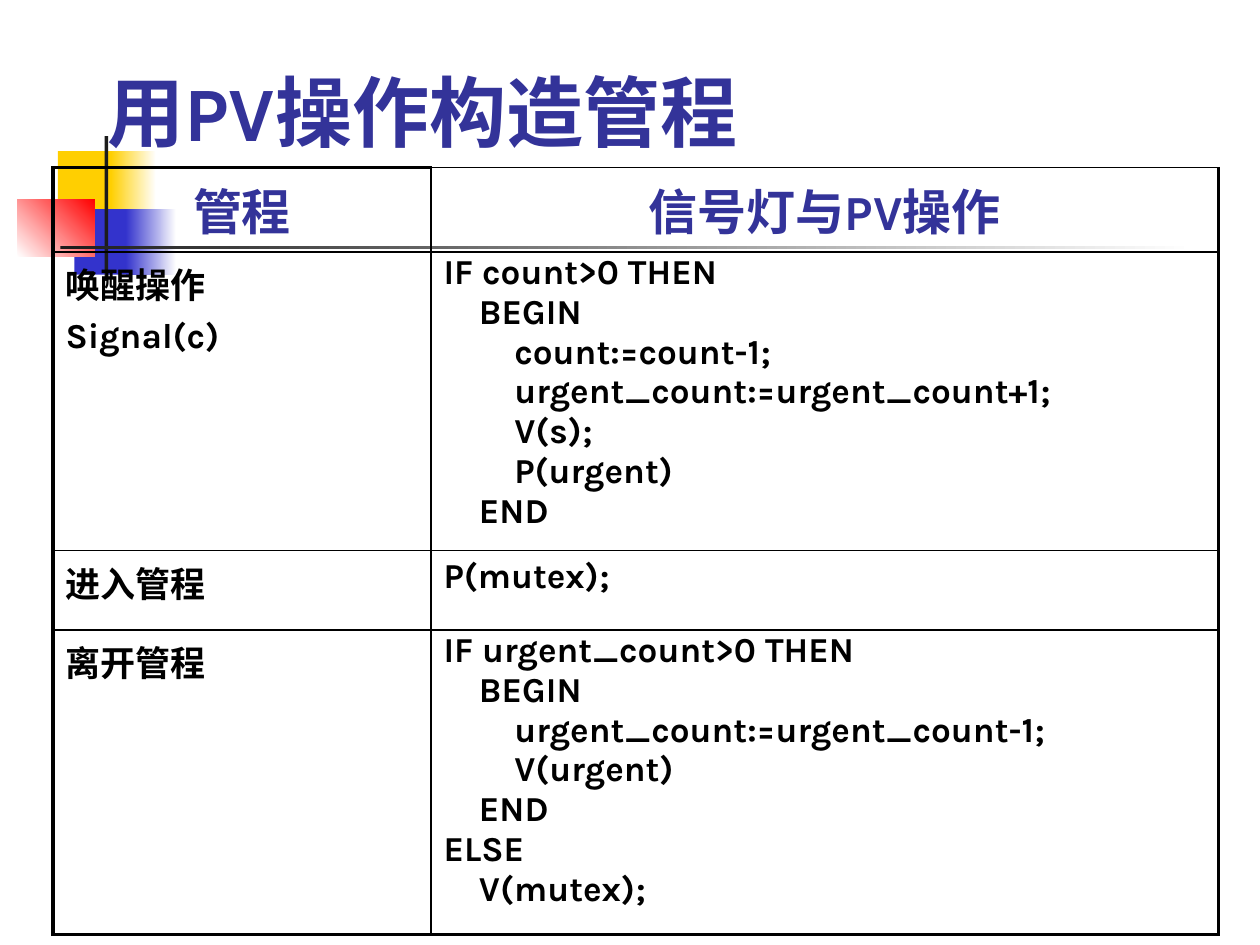
from dataclasses import dataclass

from lxml.etree import SubElement
from pptx import Presentation
from pptx.dml.color import RGBColor
from pptx.enum.shapes import MSO_SHAPE
from pptx.enum.text import MSO_ANCHOR, PP_ALIGN
from pptx.oxml.ns import qn
from pptx.util import Inches, Pt


@dataclass(frozen=True)
class Theme:
    font: str = "Karla"
    heading: str = "333399"
    text: str = "000000"
    border: str = "000000"
    yellow: str = "FFCF01"
    blue: str = "3333CC"
    red: str = "FF0000"
    dark: str = "1C1C1C"
    white: str = "FFFFFF"
    title_size: int = 44
    header_size: int = 28
    body_size: int = 20
    thick: float = 2.25
    thin: float = 1


theme = Theme()


def format_paragraph(paragraph, size, color):
    for run in paragraph.runs:
        run.font.name = theme.font
        run.font.size = Pt(size)
        run.font.bold = True
        run.font.color.rgb = RGBColor.from_string(color)


def set_border(cell, side, width):
    line = SubElement(cell._tc.get_or_add_tcPr(), qn(f"a:ln{side}"), w=str(Pt(width)))
    fill = SubElement(line, qn("a:solidFill"))
    SubElement(fill, qn("a:srgbClr"), val=theme.border)


presentation = Presentation()
presentation.slide_width = Inches(10)
presentation.slide_height = Inches(7.5)
slide = presentation.slides.add_slide(presentation.slide_layouts[5])

decorations = [
    (0.46, 1.2, 0.48, 0.52, [theme.yellow], 0),
    (0.88, 1.2, 0.36, 0.52, [theme.yellow, theme.white], 0),
    (0.59, 1.66, 0.46, 0.52, [theme.blue], 0),
    (1, 1.66, 0.4, 0.52, [theme.blue, theme.white], 0),
    (0.14, 1.58, 0.61, 0.46, [theme.white, theme.red], 45),
    (0.83, 1.08, 0.03, 1.15, [theme.dark], 0),
    (0.48, 1.95, 9, 0.03, [theme.dark, theme.white], 0),
]
for left, top, width, height, colors, angle in decorations:
    shape = slide.shapes.add_shape(
        MSO_SHAPE.RECTANGLE, Inches(left), Inches(top), Inches(width), Inches(height)
    )
    shape.shadow.inherit = False
    shape.line.fill.background()
    if len(colors) == 1:
        shape.fill.solid()
        shape.fill.fore_color.rgb = RGBColor.from_string(colors[0])
    else:
        shape.fill.gradient()
        shape.fill.gradient_angle = angle
        for stop, color in zip(shape.fill.gradient_stops, colors):
            stop.color.rgb = RGBColor.from_string(color)

title = slide.shapes.title
title.left, title.top = Inches(0.75), Inches(0.25)
title.width, title.height = Inches(8.5), Inches(1.25)
title.text_frame.text = "用PV操作构造管程"
title.text_frame.vertical_anchor = MSO_ANCHOR.MIDDLE
title.text_frame.paragraphs[0].alignment = PP_ALIGN.LEFT
format_paragraph(title.text_frame.paragraphs[0], theme.title_size, theme.heading)
slide.shapes._spTree.append(title._element)

signal_code = """IF count>0 THEN
    BEGIN
        count:=count-1;
        urgent_count:=urgent_count+1;
        V(s);
        P(urgent)
    END"""
leave_code = """IF urgent_count>0 THEN
    BEGIN
        urgent_count:=urgent_count-1;
        V(urgent)
    END
ELSE
    V(mutex);"""
rows = [
    ("管程", "信号灯与PV操作"),
    ("唤醒操作\nSignal(c)", signal_code),
    ("进入管程", "P(mutex);"),
    ("离开管程", leave_code),
]
row_heights = [0.67, 2.37, 0.63, 2.42]
column_widths = [3, 6.25]

table = slide.shapes.add_table(
    len(rows), len(column_widths), Inches(0.42), Inches(1.33),
    Inches(sum(column_widths)), Inches(sum(row_heights)),
).table
table.first_row = False
table.horz_banding = False
for column, width in zip(table.columns, column_widths):
    column.width = Inches(width)

for row_index, (texts, height) in enumerate(zip(rows, row_heights)):
    table.rows[row_index].height = Inches(height)
    is_header = row_index == 0
    size = theme.header_size if is_header else theme.body_size
    color = theme.heading if is_header else theme.text
    for column_index, text in enumerate(texts):
        cell = table.cell(row_index, column_index)
        thick_sides = {
            "L": column_index == 0,
            "R": column_index == 1,
            "T": is_header and column_index == 0,
            "B": row_index == len(rows) - 1,
        }
        for side, is_thick in thick_sides.items():
            set_border(cell, side, theme.thick if is_thick else theme.thin)
        cell.fill.background()
        cell.vertical_anchor = MSO_ANCHOR.TOP
        cell.text_frame.text = text
        for index, paragraph in enumerate(cell.text_frame.paragraphs):
            if is_header:
                paragraph.alignment = PP_ALIGN.CENTER
            if index > 0:
                paragraph.space_before = Pt(size * 0.2)
            if text in (signal_code, leave_code):
                paragraph.line_spacing = 0.8
            format_paragraph(paragraph, size, color)

presentation.save("out.pptx")
